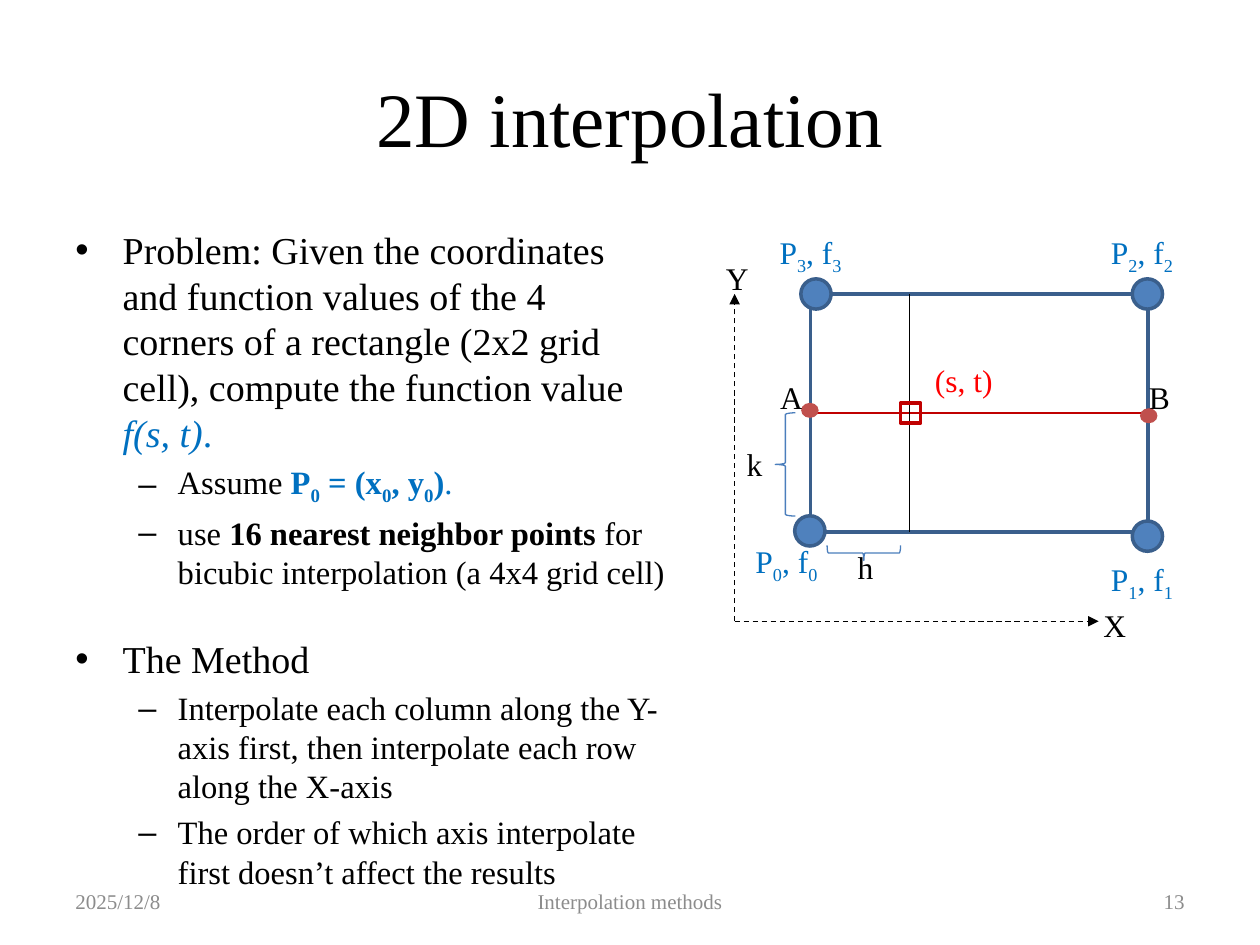
from dataclasses import dataclass
from typing import NamedTuple

from lxml.etree import SubElement
from pptx import Presentation
from pptx.dml.color import RGBColor
from pptx.enum.dml import MSO_LINE
from pptx.enum.shapes import MSO_CONNECTOR, MSO_SHAPE
from pptx.enum.text import MSO_ANCHOR, MSO_AUTO_SIZE, PP_ALIGN
from pptx.oxml.ns import qn
from pptx.util import Pt


@dataclass(frozen=True)
class Theme:
    font: str = "Times New Roman"
    black: str = "000000"
    accent: str = "0070C0"
    target: str = "FF0000"
    cross: str = "C00000"
    node: str = "4F81BD"
    edge: str = "3A5F8C"
    brace: str = "4B7EBC"
    dot: str = "C0504D"
    muted: str = "8C8C8C"
    title: float = 44
    label: float = 18
    footer: float = 12
    levels: tuple = (21.7, 18.6)


T = Theme()


class Run(NamedTuple):
    text: str
    color: str = T.black
    bold: bool = False
    italic: bool = False
    sub: bool = False


class Bullet(NamedTuple):
    level: int
    runs: list
    before: float = 4


class Label(NamedTuple):
    left: float
    top: float
    width: float
    runs: list


class Footer(NamedTuple):
    left: float
    width: float
    text: str
    align: PP_ALIGN


def subscripted(text: str, color: str, bold: bool = False) -> list:
    """Split text at "_": the character after each mark is a subscript."""
    head, *rest = text.split("_")
    runs = [Run(head, color, bold)]
    for part in rest:
        runs.append(Run(part[0], color, bold, sub=True))
        if part[1:]:
            runs.append(Run(part[1:], color, bold))
    return runs


def add_runs(p, runs: list, size: float) -> None:
    for run in runs:
        r = p.add_run()
        r.text = run.text
        fmt = {"name": T.font, "size": Pt(size), "bold": run.bold, "italic": run.italic}
        for key, value in fmt.items():
            setattr(r.font, key, value)
        r.font.color.rgb = RGBColor.from_string(run.color)
        if run.sub:
            r.font._element.set("baseline", "-25000")


def add_text(s, left: float, top: float, width: float, height: float, **frame):
    tf = s.shapes.add_textbox(Pt(left), Pt(top), Pt(width), Pt(height)).text_frame
    for key, value in {"word_wrap": True, **frame}.items():
        setattr(tf, key, value)
    return tf


def add_bullet(p, bullet: Bullet) -> None:
    margin, indent, mark = ((27, -27, "•"), (58.5, -22.5, "–"))[bullet.level]
    p.level = bullet.level
    p.space_before = Pt(bullet.before)
    pPr = p._p.get_or_add_pPr()
    pPr.set("marL", str(Pt(margin)))
    pPr.set("indent", str(Pt(indent)))
    SubElement(pPr, qn("a:buFont")).set("typeface", "Arial")
    SubElement(pPr, qn("a:buChar")).set("char", mark)
    add_runs(p, bullet.runs, T.levels[bullet.level])


def add_shape(s, kind, cx: float, cy: float, width: float, height: float,
              fill: str = "", line: str = "", weight: float = 2):
    """Draw a preset shape around its centre."""
    sp = s.shapes.add_shape(kind, Pt(cx - width / 2), Pt(cy - height / 2), Pt(width), Pt(height))
    sp.shadow.inherit = False
    for part, color in ((sp.fill, fill), (sp.line.fill, line)):
        if color:
            part.solid()
            part.fore_color.rgb = RGBColor.from_string(color)
        else:
            part.background()
    if line:
        sp.line.width = Pt(weight)
    return sp


def add_line(s, x1: float, y1: float, x2: float, y2: float, color: str,
             weight: float = 0.75, axis: bool = False):
    cxn = s.shapes.add_connector(MSO_CONNECTOR.STRAIGHT, Pt(x1), Pt(y1), Pt(x2), Pt(y2))
    cxn.line.color.rgb = RGBColor.from_string(color)
    cxn.line.width = Pt(weight)
    if axis:
        cxn.line.dash_style = MSO_LINE.DASH
        SubElement(cxn.line._get_or_add_ln(), qn("a:tailEnd")).set("type", "triangle")
    SubElement(cxn._element.spPr, qn("a:effectLst"))
    return cxn


BULLETS = [
    Bullet(0, [Run("Problem: Given the coordinates and function values of the 4 corners of a "
                   "rectangle (2x2 grid cell), compute the function value "),
               Run("f(s, t)", T.accent, italic=True), Run(".", T.accent)], 0),
    Bullet(1, [Run("Assume "), *subscripted("P_0 = (x_0, y_0)", T.accent, True),
               Run(".", T.accent)]),
    Bullet(1, [Run("use "), Run("16 nearest neighbor points ", bold=True),
               Run("for bicubic interpolation (a 4x4 grid cell)")]),
    Bullet(0, [Run("The Method")], 25.5),
    Bullet(1, [Run("Interpolate each column along the Y-axis first, then interpolate each row "
                   "along the X-axis")]),
    Bullet(1, [Run("The order of which axis interpolate first doesn’t affect the results")]),
]
CORNERS = [(424.6, 306.4), (627.8, 316.4), (627.8, 129.6), (438.4, 129.6)]
LABELS = [Label(x, y, 56, subscripted(f"P_{i}, f_{i}", T.accent))
          for i, (x, y) in enumerate(CORNERS)]
LABELS += [Label(x, y, w, [Run(text, color)]) for text, x, y, w, color in (
    ("k", 419.6, 250.6, 24, T.black), ("h", 483, 309.6, 24, T.black),
    ("(s, t)", 527.2, 203, 47.5, T.target), ("Y", 407.7, 144.7, 27.5, T.black),
    ("X", 623.5, 342.7, 27.5, T.black), ("B", 649.5, 212.4, 27.5, T.black),
    ("A", 438.7, 212.7, 27.5, T.black))]
FOOTERS = [Footer(36, 168, "2025/12/8", PP_ALIGN.LEFT),
           Footer(246, 228, "Interpolation methods", PP_ALIGN.CENTER),
           Footer(516, 168, "13", PP_ALIGN.RIGHT)]


def main() -> None:
    prs = Presentation()
    prs.slide_width, prs.slide_height = Pt(720), Pt(540)
    s = prs.slides.add_slide(prs.slide_layouts[5])

    # Title
    title = s.shapes.title
    for key, value in dict(left=36, top=21.6, width=648, height=90).items():
        setattr(title, key, Pt(value))
    title.text_frame.vertical_anchor = MSO_ANCHOR.MIDDLE
    p = title.text_frame.paragraphs[0]
    p.alignment = PP_ALIGN.CENTER
    add_runs(p, [Run("2D interpolation")], T.title)

    # Bulleted text
    tf = add_text(s, 36, 126, 352, 356.4)
    for i, bullet in enumerate(BULLETS):
        add_bullet(tf.add_paragraph() if i else tf.paragraphs[0], bullet)

    # Grid cell with its corner nodes
    cell = add_shape(s, MSO_SHAPE.RECTANGLE, 559.5, 236, 193, 136, line=T.edge)
    for cx, cy in ((462.8, 303.4), (466.3, 168), (655.7, 168), (655.7, 306.4)):
        add_shape(s, MSO_SHAPE.OVAL, cx, cy, 17.3, 17.3, T.node, T.edge)

    # Lines through the target point
    row = add_line(s, 463, 236, 656, 236, T.cross, 1)
    row.begin_connect(cell, 1)
    row.end_connect(cell, 3)
    add_line(s, 519.8, 168, 519.8, 304, T.black, 0.5)
    add_shape(s, MSO_SHAPE.RECTANGLE, 520.4, 236, 11.5, 11.5, line=T.cross)

    # Distance braces
    add_shape(s, MSO_SHAPE.LEFT_BRACE, 448.8, 265.4, 11.5, 59, line=T.brace, weight=0.75)
    add_shape(s, MSO_SHAPE.RIGHT_BRACE, 493.6, 316, 8.6, 42, line=T.brace,
              weight=0.75).rotation = 90

    # Axes
    add_line(s, 419.8, 355, 419.8, 168, T.black, axis=True)
    add_line(s, 419.8, 355, 627.8, 355, T.black, axis=True)

    # Labels and the points A and B
    for label in LABELS:
        tf = add_text(s, label.left, label.top, label.width, 29, word_wrap=False,
                      auto_size=MSO_AUTO_SIZE.SHAPE_TO_FIT_TEXT)
        add_runs(tf.paragraphs[0], label.runs, T.label)
    for cx, cy in ((462.8, 234.5), (656.4, 237.6)):
        add_shape(s, MSO_SHAPE.OVAL, cx, cy, 10, 8.6, T.dot)

    # Footer line
    for footer in FOOTERS:
        tf = add_text(s, footer.left, 500.4, footer.width, 28.8,
                      vertical_anchor=MSO_ANCHOR.MIDDLE)
        tf.paragraphs[0].alignment = footer.align
        add_runs(tf.paragraphs[0], [Run(footer.text, T.muted)], T.footer)

    prs.save("out.pptx")


if __name__ == "__main__":
    main()
